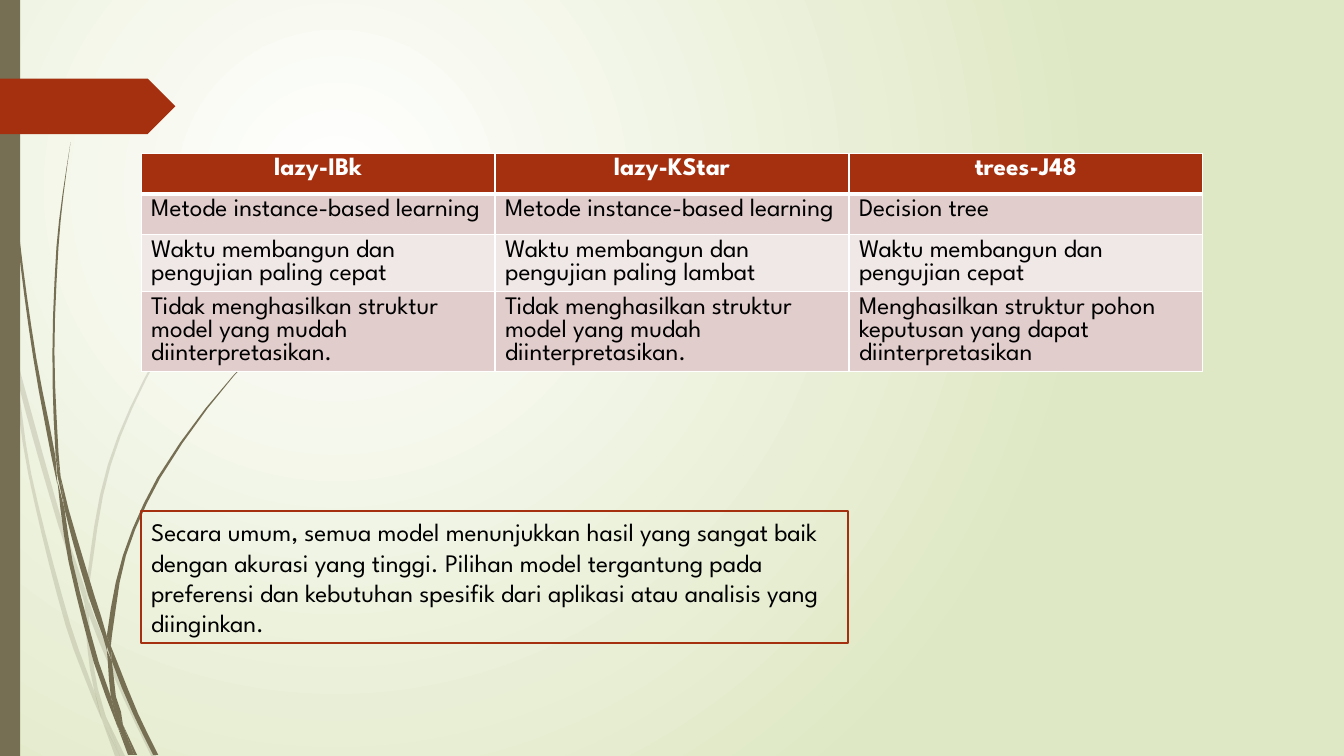
from dataclasses import dataclass

from lxml import etree
from pptx import Presentation
from pptx import util as u
from pptx.dml.color import RGBColor
from pptx.enum import shapes, text
from pptx.oxml import ns

# The slide is a grid of fine square cells
COLUMNS, ROWS = 1333, 750
CELL = u.Inches(13.33) / COLUMNS


@dataclass(frozen=True)
class Theme:
    font: str = "League Spartan"
    size: u.Pt = u.Pt(18)
    accent: str = "A53010"
    olive: str = "766F54"
    white: str = "FFFFFF"
    black: str = "000000"
    glow: str = "DFE8C4"
    band_dark: str = "E1CDCC"
    band_light: str = "F0E8E7"


@dataclass(frozen=True)
class Area:
    column: int
    row: int
    columns: int
    rows: int

    def emu(self) -> list[int]:
        return [cells(n) for n in (self.column, self.row, self.columns, self.rows)]


@dataclass(frozen=True)
class Grass:
    """Blades, each given as (row, left column, right column) from its tip down."""
    opacity: int
    blades: list[list[tuple[int, int, int]]]


THEME = Theme()
MODELS = [
    ["lazy-IBk", "lazy-KStar", "trees-J48"],
    ["Metode instance-based learning", "Metode instance-based learning", "Decision tree"],
    ["Waktu membangun dan pengujian paling cepat",
     "Waktu membangun dan pengujian paling lambat",
     "Waktu membangun dan pengujian cepat"],
    ["Tidak menghasilkan struktur model yang mudah diinterpretasikan.",
     "Tidak menghasilkan struktur model yang mudah diinterpretasikan.",
     "Menghasilkan struktur pohon keputusan yang dapat diinterpretasikan"],
]
CONCLUSION = ("Secara umum, semua model menunjukkan hasil yang sangat baik dengan akurasi "
              "yang tinggi. Pilihan model tergantung pada preferensi dan kebutuhan spesifik "
              "dari aplikasi atau analisis yang diinginkan.")
PALE_GRASS = Grass(20, [
    [(282, 0, 0), (299, 0, 4), (322, 5, 9), (350, 11, 11)],
    [(345, 14, 14), (376, 17, 22), (522, 58, 63), (586, 80, 85), (599, 84, 84)],
    [(596, 88, 88), (610, 88, 93), (694, 123, 128), (750, 150, 155)],
    [(711, 105, 105), (750, 119, 124)],
    [(350, 11, 11), (376, 14, 17), (470, 28, 31), (620, 65, 70), (693, 92, 96),
     (714, 101, 101)],
    [(599, 84, 84), (610, 84, 88), (646, 87, 91), (683, 93, 97), (711, 105, 105)],
    [(153, 312, 312), (175, 289, 290), (197, 268, 269), (244, 228, 229), (348, 158, 160),
     (461, 107, 110), (584, 85, 88), (596, 88, 88)],
    [(714, 101, 101), (750, 114, 119)],
    [(586, 85, 85), (599, 84, 88), (610, 88, 88)],
    [(683, 93, 93), (711, 100, 105), (750, 119, 119)],
])
DARK_GRASS = Grass(100, [
    [(0, 3, 4), (48, 4, 5), (110, 7, 8), (233, 17, 19), (355, 33, 36), (453, 51, 55),
     (481, 57, 57)],
    [(472, 60, 60), (505, 64, 68), (592, 88, 94), (631, 102, 106), (645, 106, 106)],
    [(641, 110, 110), (656, 111, 116), (708, 132, 137), (749, 152, 157)],
    [(477, 57, 57), (505, 60, 64), (557, 68, 72), (657, 93, 98), (691, 105, 110),
     (722, 117, 117)],
    [(141, 70, 70), (193, 62, 63), (245, 56, 58), (349, 52, 54), (449, 55, 58),
     (472, 60, 60)],
    [(719, 122, 122), (749, 133, 136)],
    [(449, 55, 55), (472, 57, 60), (505, 64, 64)],
    [(344, 260, 261), (358, 245, 246), (373, 231, 232), (405, 204, 206), (474, 156, 159),
     (551, 122, 125), (631, 106, 111), (641, 110, 110)],
    [(722, 117, 117), (749, 127, 131)],
    [(645, 106, 106), (656, 107, 111), (691, 110, 115), (706, 116, 120), (719, 122, 122)],
    [(631, 106, 106), (641, 106, 110), (656, 111, 111)],
    [(691, 110, 110), (719, 116, 122), (749, 130, 133)],
])


def cells(count: float) -> int:
    return round(count * CELL)


def rgb(colour: str) -> RGBColor:
    return RGBColor.from_string(colour)


def smooth(knots: list[tuple[int, int]]) -> list[tuple[int, int]]:
    """Cubic curve through (row, column) knots, as (x, y) points."""
    last = len(knots) - 1
    slopes = []
    for i in range(last + 1):
        (y0, x0), (y1, x1) = knots[max(i - 1, 0)], knots[min(i + 1, last)]
        slopes.append((x1 - x0) / (y1 - y0))
    points = []
    for i, ((y0, x0), (y1, x1)) in enumerate(zip(knots, knots[1:])):
        height = y1 - y0
        steps = 1 + height // 35
        for t in (step / steps for step in range(steps)):
            x = (x0 * (1 + 2 * t) * (1 - t) ** 2 + x1 * t * t * (3 - 2 * t)
                 + height * t * (1 - t) * (slopes[i] * (1 - t) - slopes[i + 1] * t))
            points.append((cells(x), cells(y0 + t * height)))
    return points + [(cells(knots[-1][1]), cells(knots[-1][0]))]


def paint(shape, colour: str) -> None:
    shape.shadow.inherit = False
    shape.fill.solid()
    shape.fill.fore_color.rgb = rgb(colour)
    shape.line.fill.background()


def draw_background(slide) -> None:
    fill = slide.background.fill
    fill.gradient()
    for stop, colour in zip(fill.gradient_stops, (THEME.white, THEME.glow)):
        stop.color.rgb = rgb(colour)
    linear = slide.background._cSld.find(".//" + ns.qn("a:lin"))
    radial = etree.Element(ns.qn("a:path"), path="circle")
    etree.SubElement(radial, ns.qn("a:fillToRect"),
                     l="50000", t="50000", r="100000", b="100000")
    linear.getparent().replace(linear, radial)


def draw_grass(slide, grass: Grass) -> None:
    for levels in grass.blades:
        left = smooth([(row, start) for row, start, _ in levels])
        right = smooth([(row, end) for row, _, end in levels])
        outline = slide.shapes.build_freeform(*left[0])
        outline.add_line_segments(left[1:] + right[:0:-1])
        blade = outline.convert_to_shape()
        paint(blade, THEME.olive)
        if grass.opacity < 100:
            tint = blade._element.spPr.find(".//" + ns.qn("a:srgbClr"))
            etree.SubElement(tint, ns.qn("a:alpha"), val=str(grass.opacity * 1000))


def draw_block(slide, kind, area: Area, colour: str) -> None:
    paint(slide.shapes.add_shape(kind, *area.emu()), colour)


def write(frame, words: str, colour: str, bold: bool, align) -> None:
    frame.text = words
    paragraph = frame.paragraphs[0]
    paragraph.alignment = align
    font = paragraph.runs[0].font
    font.name, font.size, font.bold = THEME.font, THEME.size, bold
    font.color.rgb = rgb(colour)


def style_cell(cell, colour: str, bottom: int) -> None:
    cell.fill.solid()
    cell.fill.fore_color.rgb = rgb(colour)
    properties = cell._tc.get_or_add_tcPr()
    for place, (side, points) in enumerate(zip("LRTB", (1, 1, 1, bottom))):
        border = etree.Element(ns.qn(f"a:ln{side}"), w=str(u.Pt(points)))
        solid = etree.SubElement(border, ns.qn("a:solidFill"))
        etree.SubElement(solid, ns.qn("a:srgbClr"), val=THEME.white)
        properties.insert(place, border)


def draw_models(slide, area: Area) -> None:
    comparison = slide.shapes.add_table(len(MODELS), len(MODELS[0]), *area.emu()).table
    for r, entries in enumerate(MODELS):
        header = r == 0
        band = THEME.band_dark if r % 2 else THEME.band_light
        for c, words in enumerate(entries):
            cell = comparison.cell(r, c)
            style_cell(cell, THEME.accent if header else band, 3 if header else 1)
            write(cell.text_frame, words, THEME.white if header else THEME.black, header,
                  text.PP_ALIGN.CENTER if header else text.PP_ALIGN.LEFT)


def draw_conclusion(slide, area: Area) -> None:
    box = slide.shapes.add_shape(shapes.MSO_SHAPE.RECTANGLE, *area.emu())
    box.shadow.inherit = False
    box.fill.background()
    box.line.color.rgb = rgb(THEME.accent)
    box.line.width = u.Pt(1.25)
    box.text_frame.word_wrap = True
    box.text_frame.vertical_anchor = text.MSO_ANCHOR.MIDDLE
    write(box.text_frame, CONCLUSION, THEME.black, False, text.PP_ALIGN.LEFT)


def main() -> None:
    deck = Presentation()
    deck.slide_width, deck.slide_height = cells(COLUMNS), cells(ROWS)
    slide = deck.slides.add_slide(deck.slide_layouts[6])

    # Backdrop: glow, grass, side bar and pointer
    draw_background(slide)
    for grass in (PALE_GRASS, DARK_GRASS):
        draw_grass(slide, grass)
    draw_block(slide, shapes.MSO_SHAPE.RECTANGLE, Area(0, 0, 20, ROWS), THEME.olive)
    draw_block(slide, shapes.MSO_SHAPE.PENTAGON, Area(0, 78, 174, 55), THEME.accent)

    # Content: model comparison and conclusion
    draw_models(slide, Area(140, 152, 1053, 162))
    draw_conclusion(slide, Area(140, 507, 701, 131))
    deck.save("out.pptx")


if __name__ == "__main__":
    main()
